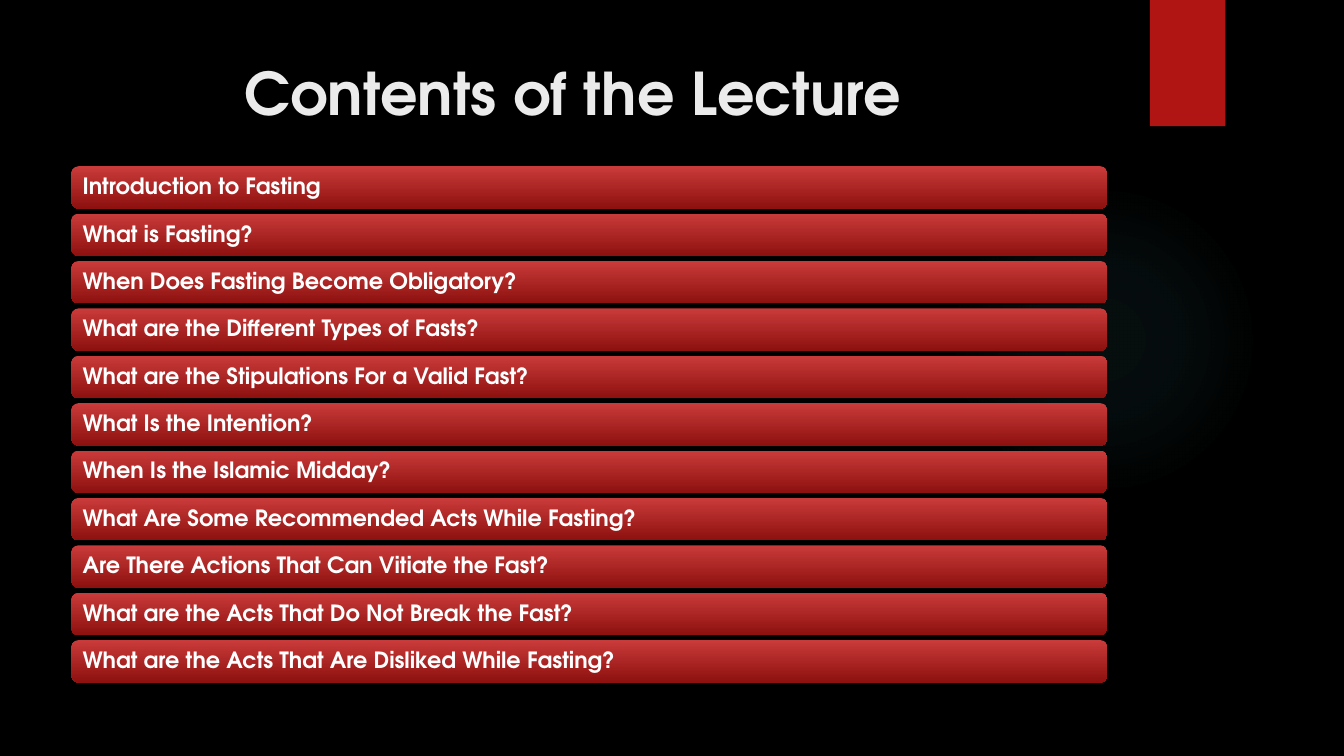
from lxml.etree import SubElement
from pptx import Presentation
from pptx.dml.color import RGBColor
from pptx.enum.shapes import MSO_SHAPE
from pptx.enum.text import MSO_ANCHOR, PP_ALIGN
from pptx.oxml.ns import qn
from pptx.util import Cm, Pt

# Content
HEADING = "Contents of the Lecture"
TOPICS = [
    "Introduction to Fasting",
    "What is Fasting?",
    "When Does Fasting Become Obligatory?",
    "What are the Different Types of Fasts?",
    "What are the Stipulations For a Valid Fast?",
    "What Is the Intention?",
    "When Is the Islamic Midday?",
    "What Are Some Recommended Acts While Fasting?",
    "Are There Actions That Can Vitiate the Fast?",
    "What are the Acts That Do Not Break the Fast?",
    "What are the Acts That Are Disliked While Fasting?",
]

# Formats
COLORS = {
    "background": "000000",
    "glow": "50B9C1",
    "ribbon": "B01513",
    "heading": "EBEBEB",
    "bar_top": "C93B3A",
    "bar_bottom": "8D110F",
    "topic": "FFFFFF",
}
FONT = "TeX Gyre Adventor"
HEADING_FONT = {"name": FONT, "size": Pt(42), "bold": True}
TOPIC_FONT = {"name": FONT, "size": Pt(16), "bold": True}
HEADING_FRAME = {"margin_left": Cm(4.36), "vertical_anchor": MSO_ANCHOR.MIDDLE,
                 "word_wrap": True}
TOPIC_FRAME = {"margin_left": Cm(0.23), "margin_right": Cm(0.23),
               "margin_top": Cm(0.18), "margin_bottom": Cm(0.18),
               "vertical_anchor": MSO_ANCHOR.MIDDLE, "word_wrap": True}
TOPIC_PARAGRAPH = {"alignment": PP_ALIGN.LEFT, "line_spacing": 0.9}

# Layout in centimetres
LIST_LEFT, LIST_TOP, LIST_WIDTH, LIST_BOTTOM = 1.8, 4.19, 26.11, 17.2
BAR_HEIGHT = 1.07
BAR_PITCH = (LIST_BOTTOM - LIST_TOP - BAR_HEIGHT) / (len(TOPICS) - 1)


def rgb(name):
    return RGBColor.from_string(COLORS[name])


def apply(target, values):
    for attribute, value in values.items():
        setattr(target, attribute, value)


def write(frame, text, frame_format, paragraph_format, font_format, color):
    apply(frame, frame_format)
    paragraph = frame.paragraphs[0]
    apply(paragraph, paragraph_format)
    run = paragraph.add_run()
    run.text = text
    apply(run.font, font_format)
    run.font.color.rgb = rgb(color)


def add_plain(slide, preset, left, top, width, height):
    shape = slide.shapes.add_shape(preset, Cm(left), Cm(top), Cm(width), Cm(height))
    shape.shadow.inherit = False
    shape.line.fill.background()
    return shape


def add_glow(slide):
    glow = add_plain(slide, MSO_SHAPE.OVAL, 23.9, 4.65, 7.82, 7.82)
    glow.fill.gradient()
    gradient = glow.fill._xPr.find(qn("a:gradFill"))
    for child in list(gradient):
        gradient.remove(child)
    # Radial fade from the centre, as (position %, opacity %)
    stops = SubElement(gradient, qn("a:gsLst"))
    for position, opacity in [(0, 7), (36, 6), (69, 0), (100, 0)]:
        stop = SubElement(stops, qn("a:gs"), pos=str(position * 1000))
        color = SubElement(stop, qn("a:srgbClr"), val=COLORS["glow"])
        SubElement(color, qn("a:alpha"), val=str(opacity * 1000))
    radial = SubElement(gradient, qn("a:path"))
    radial.set("path", "circle")
    SubElement(radial, qn("a:fillToRect"), l="50000", t="50000", r="50000", b="50000")


def add_topic(slide, index, topic):
    bar = add_plain(slide, MSO_SHAPE.ROUNDED_RECTANGLE, LIST_LEFT,
                    LIST_TOP + index * BAR_PITCH, LIST_WIDTH, BAR_HEIGHT)
    bar.fill.gradient()
    bar.fill.gradient_angle = 270
    for stop, color in zip(bar.fill.gradient_stops, ("bar_top", "bar_bottom")):
        stop.color.rgb = rgb(color)
    write(bar.text_frame, topic, TOPIC_FRAME, TOPIC_PARAGRAPH, TOPIC_FONT, "topic")


def main():
    presentation = Presentation()
    apply(presentation, {"slide_width": Cm(33.87), "slide_height": Cm(19.05)})
    slide = presentation.slides.add_slide(presentation.slide_layouts[5])

    # Backdrop
    slide.background.fill.solid()
    slide.background.fill.fore_color.rgb = rgb("background")
    add_glow(slide)
    ribbon = add_plain(slide, MSO_SHAPE.RECTANGLE, 28.98, 0, 1.9, 3.18)
    ribbon.fill.solid()
    ribbon.fill.fore_color.rgb = rgb("ribbon")

    # Heading
    heading = slide.shapes.title
    apply(heading, {"left": Cm(1.8), "top": Cm(1.27),
                    "width": Cm(26.14), "height": Cm(2.11)})
    write(heading.text_frame, HEADING, HEADING_FRAME,
          {"alignment": PP_ALIGN.LEFT}, HEADING_FONT, "heading")

    # Topic bars
    for index, topic in enumerate(TOPICS):
        add_topic(slide, index, topic)

    presentation.save("out.pptx")


if __name__ == "__main__":
    main()
